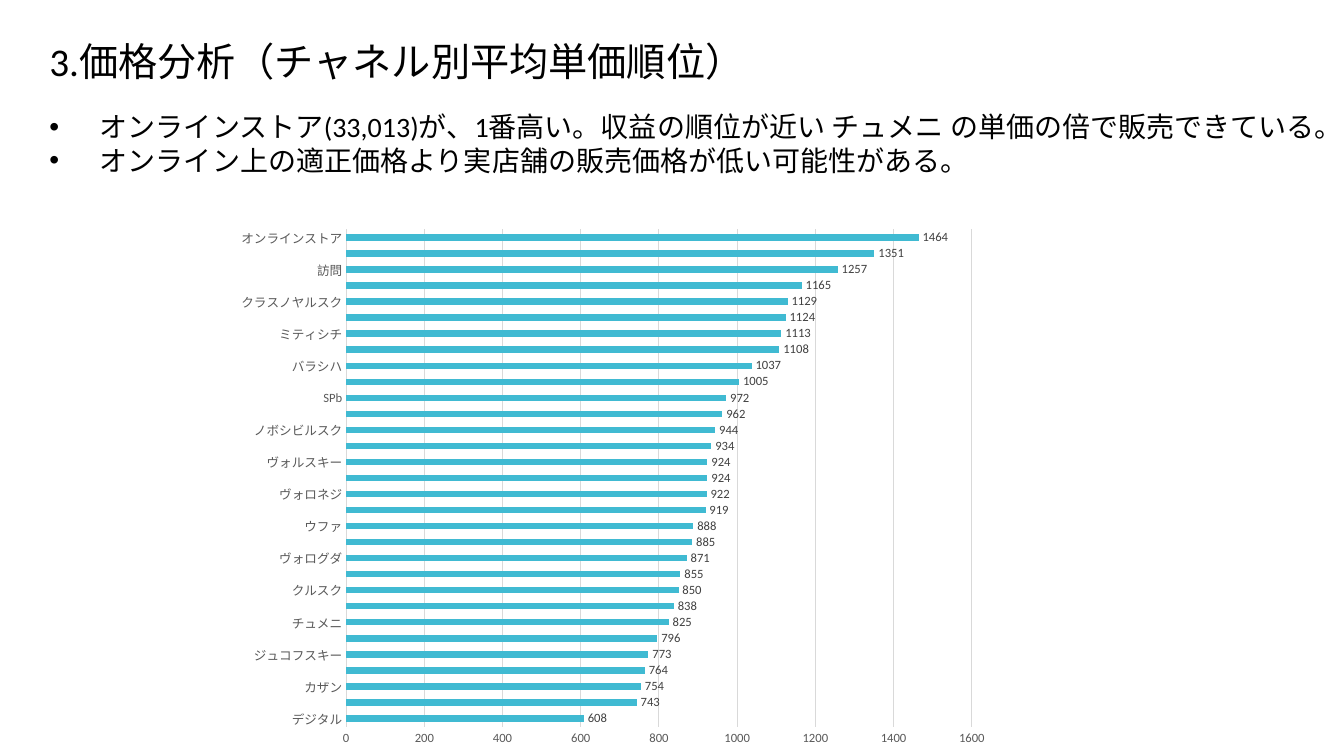
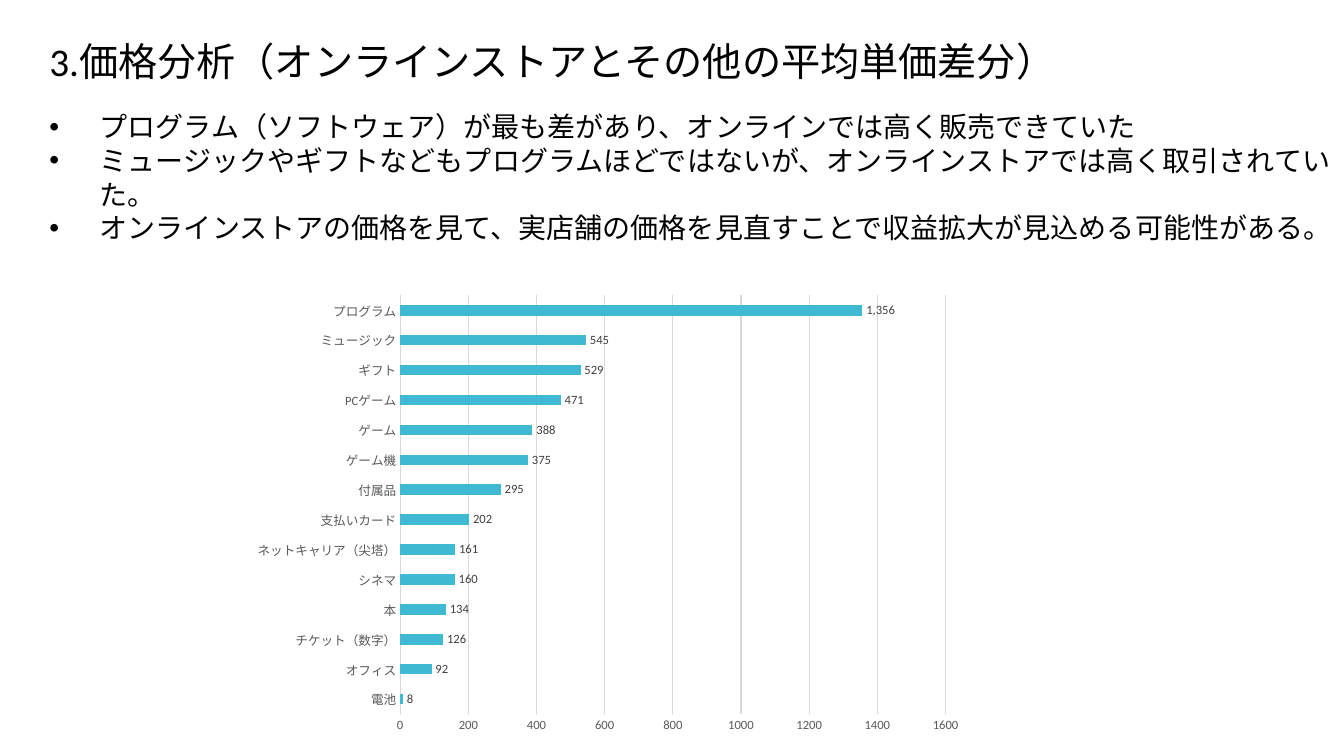
from dataclasses import dataclass

from pptx import Presentation
from pptx.chart.data import CategoryChartData
from pptx.dml.color import RGBColor
from pptx.enum.chart import XL_CHART_TYPE as ChartType
from pptx.enum.chart import XL_LABEL_POSITION as LabelPosition
from pptx.enum.chart import XL_TICK_MARK as TickMark
from pptx.enum.text import MSO_ANCHOR as Anchor
from pptx.enum.text import MSO_AUTO_SIZE as AutoSize
from pptx.enum.text import PP_ALIGN as Align
from pptx.util import Inches, Pt

BLACK = RGBColor(0x00, 0x00, 0x00)
BAR_BLUE = RGBColor(0x40, 0xBA, 0xD2)
AXIS_GRAY = RGBColor(0x59, 0x59, 0x59)
LABEL_GRAY = RGBColor(0x40, 0x40, 0x40)
GRID_GRAY = RGBColor(0xD9, 0xD9, 0xD9)
FONT = "Calibri"
TEXT_LEFT = 0.39
TEXT_WIDTH = 12.95
BULLET_INDENT = Inches(0.5)


@dataclass(frozen=True)
class Box:
    left: float
    top: float
    width: float
    height: float

    def lengths(self) -> tuple:
        return tuple(Inches(n) for n in (self.left, self.top, self.width, self.height))


@dataclass(frozen=True)
class BarChart:
    box: Box
    prices: dict[str, int]
    gap_width: int
    label_format: str
    axis_format: str


@dataclass(frozen=True)
class PriceSlide:
    title: str
    bullets: tuple[str, ...]
    body_height: float
    chart: BarChart


CHANNEL_PRICES = {
    "デジタル": 608,
    "チェーホフ": 743,
    "カザン": 754,
    "ヒムキ": 764,
    "ジュコフスキー": 773,
    "ヤクーツク": 796,
    "チュメニ": 825,
    "サマラ": 838,
    "クルスク": 850,
    "モスクワ": 855,
    "ヴォログダ": 871,
    "ヤロスラブリ": 885,
    "ウファ": 888,
    "セルギエフ": 919,
    "ヴォロネジ": 922,
    "コロムナ": 924,
    "ヴォルスキー": 924,
    "カルーガ": 934,
    "ノボシビルスク": 944,
    "ロストフ・ナ・ドヌ": 962,
    "SPb": 972,
    "N.ノヴゴロド": 1005,
    "バラシハ": 1037,
    "スルグト": 1108,
    "ミティシチ": 1113,
    "トムスク": 1124,
    "クラスノヤルスク": 1129,
    "オムスク": 1165,
    "訪問": 1257,
    "アディゲア": 1351,
    "オンラインストア": 1464,
}

PRICE_GAPS = {
    "電池": 8,
    "オフィス": 92,
    "チケット（数字）": 126,
    "本": 134,
    "シネマ": 160,
    "ネットキャリア（尖塔）": 161,
    "支払いカード": 202,
    "付属品": 295,
    "ゲーム機": 375,
    "ゲーム": 388,
    "PCゲーム": 471,
    "ギフト": 529,
    "ミュージック": 545,
    "プログラム": 1356,
}

SLIDES = (
    PriceSlide(
        "3.価格分析（チャネル別平均単価順位）",
        (
            "オンラインストア(33,013)が、1番高い。収益の順位が近い チュメニ の単価の倍で販売できている。",
            "オンライン上の適正価格より実店舗の販売価格が低い可能性がある。",
        ),
        0.77,
        BarChart(Box(2.24, 2.16, 7.68, 5.34), CHANNEL_PRICES, 150, "0", "0"),
    ),
    PriceSlide(
        "3.価格分析（オンラインストアとその他の平均単価差分）",
        (
            "プログラム（ソフトウェア）が最も差があり、オンラインでは高く販売できていた",
            "ミュージックやギフトなどもプログラムほどではないが、オンラインストアでは高く取引されていた。",
            "オンラインストアの価格を見て、実店舗の価格を見直すことで収益拡大が見込める可能性がある。",
        ),
        1.78,
        BarChart(Box(2.41, 2.84, 7.24, 4.52), PRICE_GAPS, 182,
                 r"#,##0_);[Red]\(#,##0\)", "General"),
    ),
)


def set_font(font, size: float, color: RGBColor) -> None:
    font.name = FONT
    font.size = Pt(size)
    font.color.rgb = color


def fill_placeholder(shape, box: Box, lines: tuple[str, ...], size: float) -> None:
    shape.left, shape.top, shape.width, shape.height = box.lengths()
    frame = shape.text_frame
    frame.text = "\n".join(lines)
    frame.word_wrap = True
    frame.auto_size = AutoSize.NONE
    frame.vertical_anchor = Anchor.TOP
    for paragraph in frame.paragraphs:
        paragraph.alignment = Align.LEFT
        paragraph.space_before = Pt(0)
        paragraph.line_spacing = 1.0
        set_font(paragraph.font, size, BLACK)


def indent_bullets(shape) -> None:
    for paragraph in shape.text_frame.paragraphs:
        properties = paragraph.font._element.getparent()
        properties.set("marL", str(BULLET_INDENT))
        properties.set("indent", str(-BULLET_INDENT))


def style_axis(axis) -> None:
    axis.major_tick_mark = TickMark.NONE
    axis.minor_tick_mark = TickMark.NONE
    set_font(axis.tick_labels.font, 9, AXIS_GRAY)


def style_line(line) -> None:
    line.color.rgb = GRID_GRAY
    line.width = Pt(0.75)


def add_bar_chart(slide, bar_chart: BarChart) -> None:
    data = CategoryChartData()
    data.categories = list(bar_chart.prices)
    data.add_series("Series 1", list(bar_chart.prices.values()))
    chart = slide.shapes.add_chart(
        ChartType.BAR_CLUSTERED, *bar_chart.box.lengths(), data).chart
    chart.has_legend = False
    chart.has_title = False
    set_font(chart.font, 10, BLACK)

    categories, values = chart.category_axis, chart.value_axis
    for axis in (categories, values):
        style_axis(axis)
    categories.has_major_gridlines = False
    style_line(categories.format.line)
    values.minimum_scale, values.maximum_scale, values.major_unit = 0, 1600, 200
    values.has_major_gridlines = True
    style_line(values.major_gridlines.format.line)
    values.format.line.fill.background()
    values.tick_labels.number_format = bar_chart.axis_format
    values.tick_labels.number_format_is_linked = False

    plot = chart.plots[0]
    plot.vary_by_categories = False
    plot.gap_width = bar_chart.gap_width
    fill = plot.series[0].format.fill
    fill.solid()
    fill.fore_color.rgb = BAR_BLUE
    plot.has_data_labels = True
    labels = plot.data_labels
    labels.show_value = True
    labels.position = LabelPosition.OUTSIDE_END
    labels.number_format = bar_chart.label_format
    labels.number_format_is_linked = False
    set_font(labels.font, 9, LABEL_GRAY)


def add_price_slide(presentation, content: PriceSlide) -> None:
    slide = presentation.slides.add_slide(presentation.slide_layouts[1])
    body = slide.placeholders[1]
    fill_placeholder(slide.shapes.title, Box(TEXT_LEFT, 0.32, TEXT_WIDTH, 0.57),
                     (content.title,), 28)
    fill_placeholder(body, Box(TEXT_LEFT, 1.04, TEXT_WIDTH, content.body_height),
                     content.bullets, 20)
    indent_bullets(body)
    add_bar_chart(slide, content.chart)


def main() -> None:
    presentation = Presentation()
    presentation.slide_width = Inches(13.33)
    presentation.slide_height = Inches(7.5)
    for content in SLIDES:
        add_price_slide(presentation, content)
    presentation.save("out.pptx")


if __name__ == "__main__":
    main()
